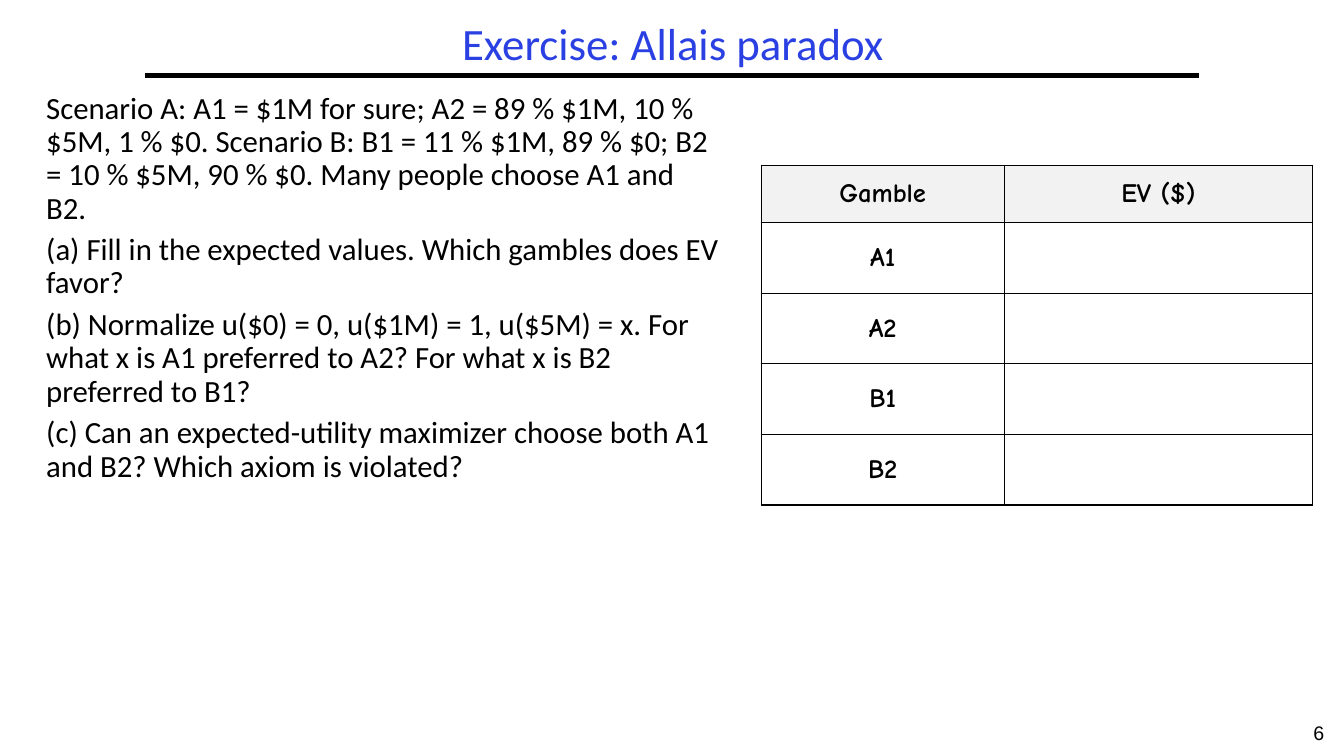
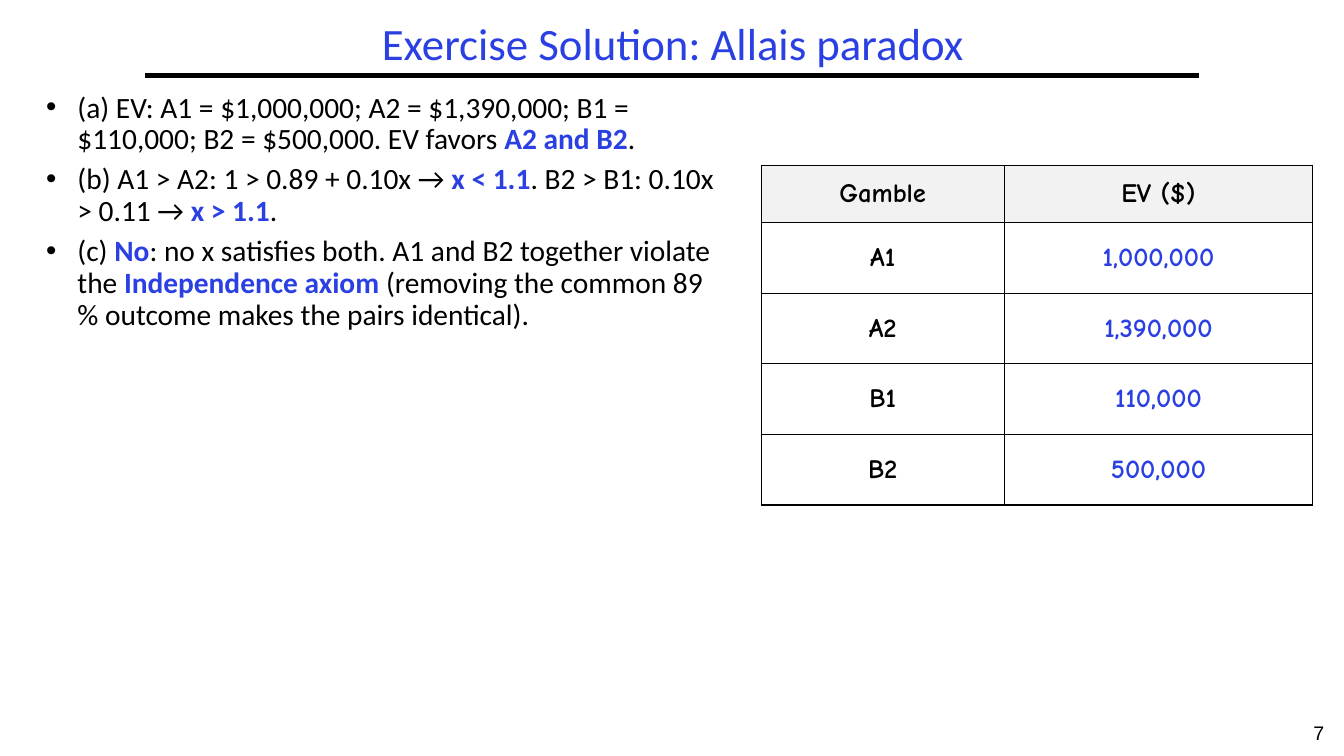
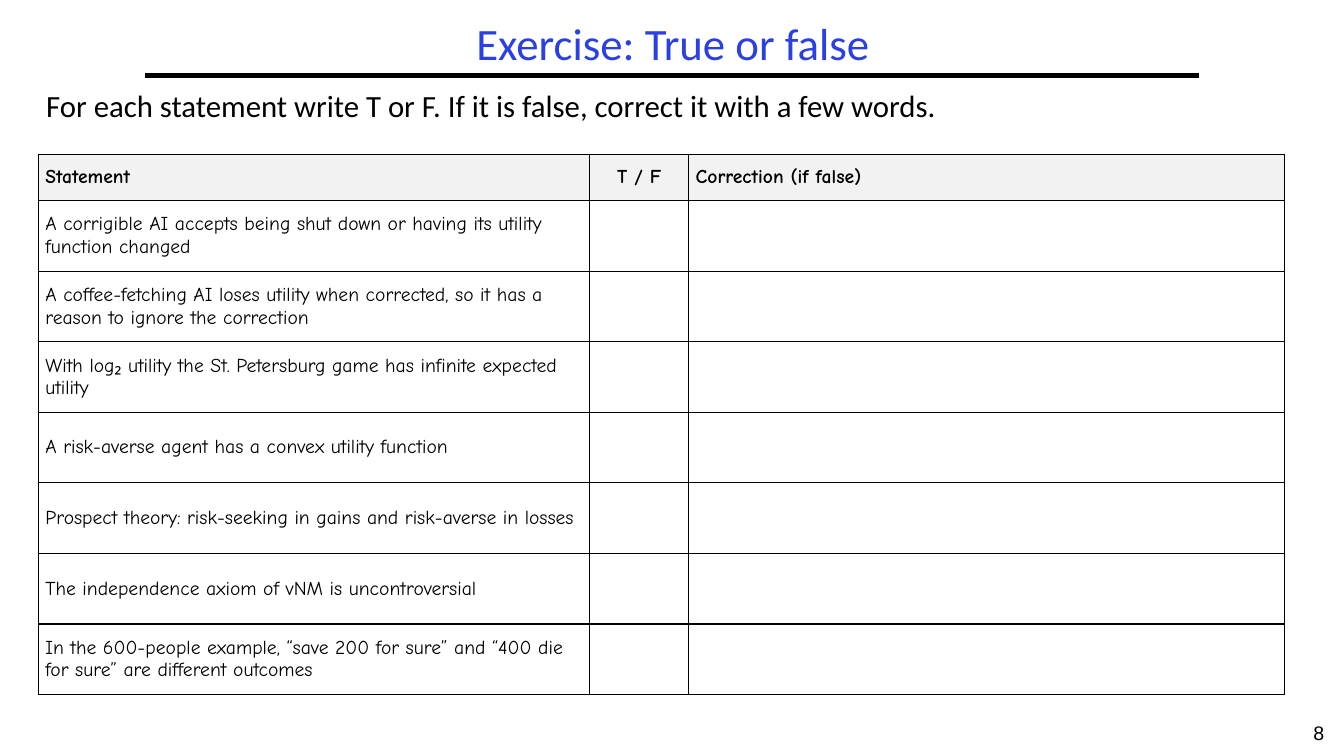
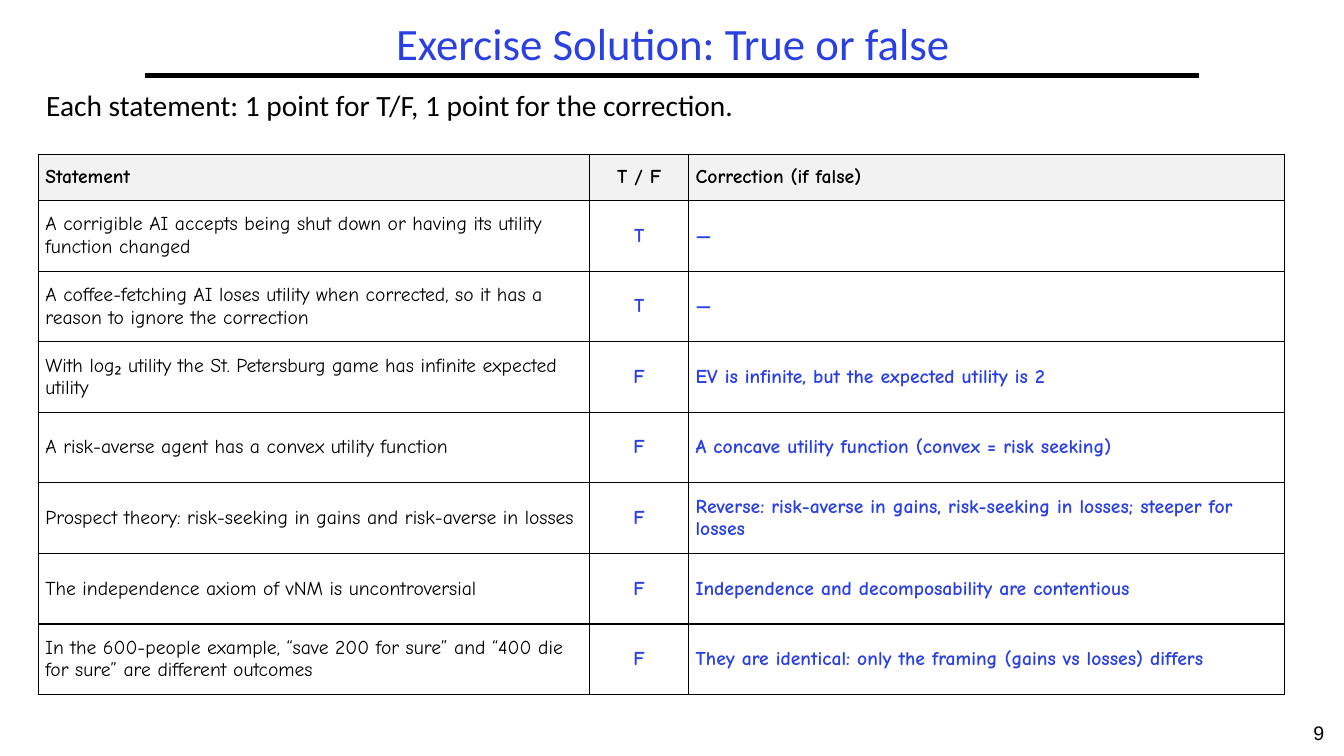
from lxml import etree
from pptx import Presentation
from pptx.dml.color import RGBColor
from pptx.enum import shapes, text
from pptx.oxml import ns
from pptx.util import Inches, Pt

INK, BLUE, HEADER_FILL = "000000", "2A40E2", "F2F2F2"
LEFT, CENTER = text.PP_ALIGN.LEFT, text.PP_ALIGN.CENTER
MIDDLE = text.MSO_ANCHOR.MIDDLE
BORDER = ('<a:{side} xmlns:a="{uri}" w="12700"><a:solidFill><a:srgbClr val="{ink}"/>'
          '</a:solidFill></a:{side}>')

GAMBLES = {
    "at": (7.55, 1.64), "widths": (2.41, 3.06), "header_height": 0.57, "size": 19,
    "aligns": (CENTER, CENTER), "label_bold": True,
    "header": ("Gamble", "EV ($)"),
    "rows": [("A1", "1,000,000"), ("A2", "1,390,000"), ("B1", "110,000"), ("B2", "500,000")],
}
STATEMENTS = {
    "at": (0.38, 1.53), "widths": (5.47, 0.98, 5.91), "header_height": 0.46, "size": 14,
    "aligns": (LEFT, CENTER, LEFT), "label_bold": False,
    "header": ("Statement", "T / F", "Correction (if false)"),
    "rows": [
        ("A corrigible AI accepts being shut down or having its utility function changed",
         "T", "—"),
        ("A coffee-fetching AI loses utility when corrected, so it has a reason to ignore "
         "the correction", "T", "—"),
        ("With log₂ utility the St. Petersburg game has infinite expected utility",
         "F", "EV is infinite, but the expected utility is 2"),
        ("A risk-averse agent has a convex utility function",
         "F", "A concave utility function (convex = risk seeking)"),
        ("Prospect theory: risk-seeking in gains and risk-averse in losses",
         "F", "Reverse: risk-averse in gains, risk-seeking in losses; steeper for losses"),
        ("The independence axiom of vNM is uncontroversial",
         "F", "Independence and decomposability are contentious"),
        ("In the 600-people example, “save 200 for sure” and “400 die for sure” are "
         "different outcomes",
         "F", "They are identical: only the framing (gains vs losses) differs"),
    ],
}
ROW_HEIGHT = 0.7
BESIDE_TABLE = (0.36, 0.87, 6.89, 6.01)
ABOVE_TABLE = (0.36, 0.85, 12.58, 0.68)

# Text between ** marks is emphasised.
PAGES = [
    {"title": "Exercise: Allais paradox", "body_at": BESIDE_TABLE, "size": 22,
     "table": GAMBLES, "solved": False, "bullets": False,
     "body": [
         "Scenario A: A1 = $1M for sure; A2 = 89 % $1M, 10 % $5M, 1 % $0. Scenario B: "
         "B1 = 11 % $1M, 89 % $0; B2 = 10 % $5M, 90 % $0. Many people choose A1 and B2.",
         "(a) Fill in the expected values. Which gambles does EV favor?",
         "(b) Normalize u($0) = 0, u($1M) = 1, u($5M) = x. For what x is A1 preferred to A2? "
         "For what x is B2 preferred to B1?",
         "(c) Can an expected-utility maximizer choose both A1 and B2? "
         "Which axiom is violated?"]},
    {"title": "Exercise Solution: Allais paradox", "body_at": BESIDE_TABLE, "size": 21,
     "table": GAMBLES, "solved": True, "bullets": True,
     "body": [
         "(a) EV: A1 = $1,000,000; A2 = $1,390,000; B1 = $110,000; B2 = $500,000. "
         "EV favors **A2 and B2**.",
         "(b) A1 > A2: 1 > 0.89 + 0.10x → **x < 1.1**. B2 > B1: 0.10x > 0.11 → **x > 1.1**.",
         "(c) **No**: no x satisfies both. A1 and B2 together violate the "
         "**Independence axiom** (removing the common 89 % outcome makes the pairs "
         "identical)."]},
    {"title": "Exercise: True or false", "body_at": ABOVE_TABLE, "size": 22,
     "table": STATEMENTS, "solved": False, "bullets": False,
     "body": ["For each statement write T or F. If it is false, correct it with a few words."]},
    {"title": "Exercise Solution: True or false", "body_at": ABOVE_TABLE, "size": 21,
     "table": STATEMENTS, "solved": True, "bullets": False,
     "body": ["Each statement: 1 point for T/F, 1 point for the correction."]},
]


def add_span(para, words, color, **font):
    span = para.add_run()
    span.text = words
    span.font.color.rgb = RGBColor.from_string(color)
    for name, value in font.items():
        setattr(span.font, name, value)


def add_box(page, at, **frame_format):
    frame = page.shapes.add_textbox(*map(Inches, at)).text_frame
    frame.word_wrap = True
    for name, value in frame_format.items():
        setattr(frame, name, value)
    return frame


deck = Presentation()
deck.slide_width, deck.slide_height = Inches(13.33), Inches(7.5)

for number, content in enumerate(PAGES, start=6):
    page = deck.slides.add_slide(deck.slide_layouts[6])

    rule = page.shapes.add_connector(
        shapes.MSO_CONNECTOR.STRAIGHT, Inches(1.44), Inches(0.75), Inches(11.89), Inches(0.75))
    rule.line.color.rgb = RGBColor.from_string(INK)
    rule.line.width = Pt(3)
    etree.SubElement(rule._element.spPr, ns.qn("a:effectLst"))

    para = add_box(page, (12.83, 7.1, 0.5, 0.4)).paragraphs[0]
    para.alignment = CENTER
    add_span(para, str(number), INK, name="Arial", size=Pt(14))

    para = add_box(page, (1.44, 0.17, 10.47, 0.58), vertical_anchor=MIDDLE).paragraphs[0]
    para.alignment, para.line_spacing = CENTER, 0.9
    add_span(para, content["title"], BLUE, name="Calibri", size=Pt(32))

    body = add_box(page, content["body_at"])
    for index, words in enumerate(content["body"]):
        para = body.add_paragraph() if index else body.paragraphs[0]
        if content["bullets"]:
            properties = para._p.get_or_add_pPr()
            properties.set("marL", str(Inches(0.31)))
            properties.set("indent", str(-Inches(0.31)))
            etree.SubElement(properties, ns.qn("a:buFont"), typeface="Arial")
            etree.SubElement(properties, ns.qn("a:buChar"), char="•")
        para.line_spacing = 0.9
        para.space_before = Pt(6 if index else 0)
        for part, piece in enumerate(words.split("**")):
            strong = part % 2 == 1
            add_span(para, piece, BLUE if strong else INK,
                     name="Calibri", size=Pt(content["size"]), bold=strong)

    grid = content["table"]
    rows = [grid["header"], *grid["rows"]]
    heights = [grid["header_height"]] + [ROW_HEIGHT] * len(grid["rows"])
    table = page.shapes.add_table(
        len(rows), len(grid["widths"]), *map(Inches, grid["at"]),
        Inches(sum(grid["widths"])), Inches(sum(heights))).table
    table.first_row = table.horz_banding = False
    for column, width in zip(table.columns, grid["widths"]):
        column.width = Inches(width)
    for row, height in zip(table.rows, heights):
        row.height = Inches(height)

    for r, row in enumerate(rows):
        for c, words in enumerate(row):
            cell = table.cell(r, c)
            cell.vertical_anchor = MIDDLE
            cell.margin_left = cell.margin_right = Inches(0.07)
            cell.margin_top = cell.margin_bottom = Inches(0.03)
            for side in ("lnL", "lnR", "lnT", "lnB"):
                cell._tc.get_or_add_tcPr().append(etree.fromstring(
                    BORDER.format(side=side, uri=ns.nsdecls("a").split('"')[1], ink=INK)))
            if r == 0:
                cell.fill.solid()
                cell.fill.fore_color.rgb = RGBColor.from_string(HEADER_FILL)
            else:
                cell.fill.background()
            answer = r > 0 and c > 0
            if answer and not content["solved"]:
                continue
            para = cell.text_frame.paragraphs[0]
            para.alignment = grid["aligns"][c]
            add_span(para, words, BLUE if answer else INK, name="Comic Neue",
                     size=Pt(grid["size"]), bold=r == 0 or answer or grid["label_bold"])

deck.save("out.pptx")
